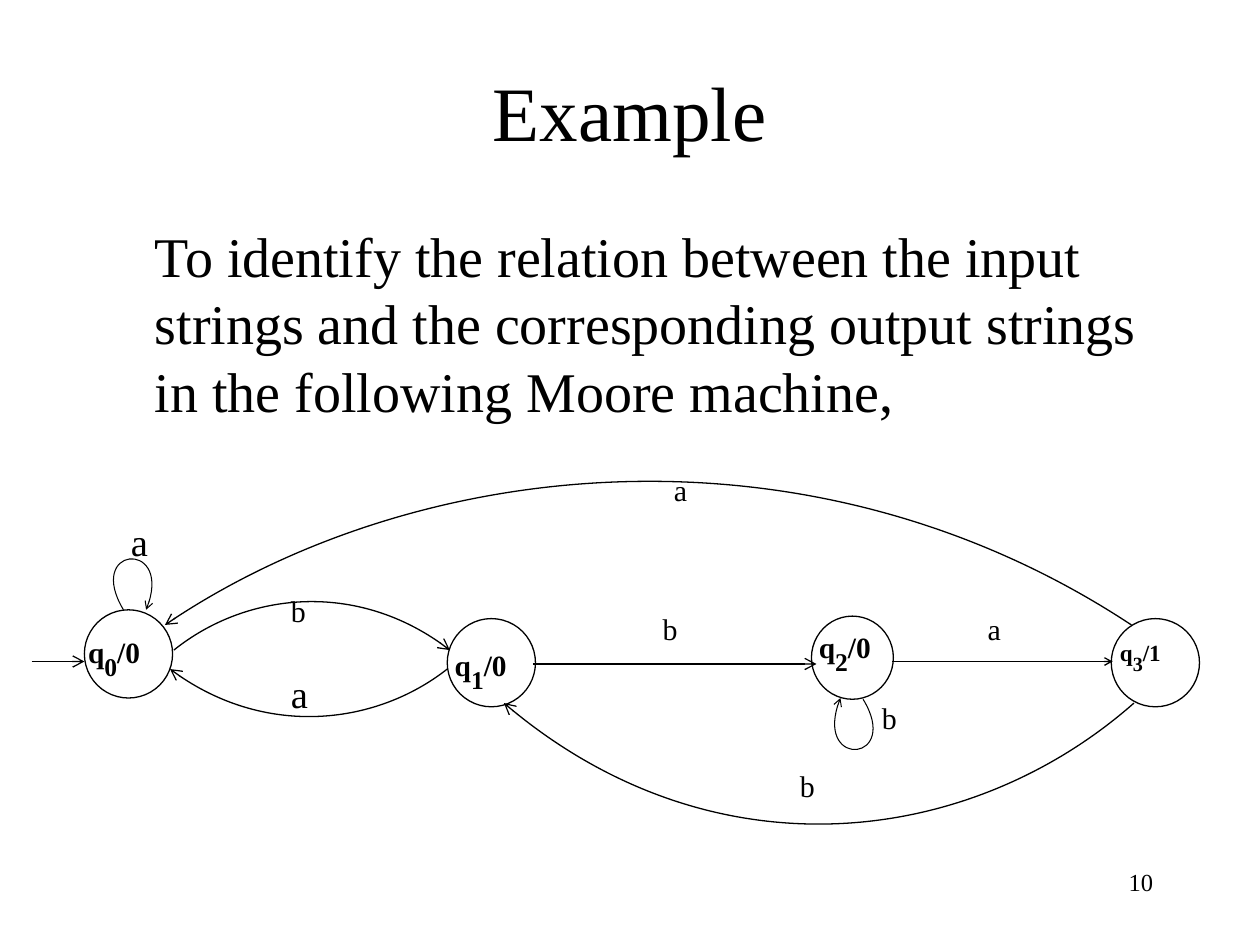
from dataclasses import dataclass

from lxml import etree
from pptx import Presentation
from pptx.dml.color import RGBColor
from pptx.enum.shapes import MSO_CONNECTOR, MSO_SHAPE
from pptx.enum.text import MSO_ANCHOR, PP_ALIGN
from pptx.oxml.ns import qn
from pptx.util import Inches, Pt

ELLIPSE = MSO_SHAPE.OVAL
STRAIGHT = MSO_CONNECTOR.STRAIGHT
LEFT, CENTER, RIGHT = PP_ALIGN.LEFT, PP_ALIGN.CENTER, PP_ALIGN.RIGHT
TOP, MIDDLE = MSO_ANCHOR.TOP, MSO_ANCHOR.MIDDLE
COLUMNS, ROWS = 100, 75


@dataclass(frozen=True)
class Theme:
    font: str = "Times New Roman"
    ink: RGBColor = RGBColor(0, 0, 0)
    paper: RGBColor = RGBColor(255, 255, 255)
    title: float = 44
    body: float = 32
    number: float = 14
    loop_label: float = 22
    edge_label: float = 17.1
    state: float = 16.8
    final_state: float = 13.2
    line: float = 0.75
    loop_line: float = 0.6
    tight: float = 0.8


class Diagram:
    def __init__(self, deck, theme):
        self.theme = theme
        self.slide = deck.slides.add_slide(deck.slide_layouts[6])
        self.shapes = self.slide.shapes
        self.column = deck.slide_width / COLUMNS
        self.row = deck.slide_height / ROWS

    def place(self, x, y):
        return round(x * self.column), round(y * self.row)

    def text(self, box, runs, size, align=LEFT, anchor=TOP, spacing=1.0, bold=False, indent=0):
        frame = self.shapes.add_textbox(*self.place(*box[:2]), *self.place(*box[2:])).text_frame
        frame.word_wrap = True
        frame.vertical_anchor = anchor
        paragraph = frame.paragraphs[0]
        paragraph.alignment = align
        paragraph.line_spacing = spacing
        if indent:
            properties = paragraph._p.get_or_add_pPr()
            properties.set("marL", str(round(indent * self.column)))
            properties.set("indent", "0")
        for words, is_subscript in runs:
            run = paragraph.add_run()
            run.text = words
            run.font.name = self.theme.font
            run.font.size = Pt(size * 1.5 if is_subscript else size)
            run.font.bold = bold
            run.font.color.rgb = self.theme.ink
            if is_subscript:
                run._r.get_or_add_rPr().set("baseline", "-30000")

    def state(self, box):
        circle = self.shapes.add_shape(ELLIPSE, *self.place(*box[:2]), *self.place(*box[2:]))
        circle.shadow.inherit = False
        circle.fill.solid()
        circle.fill.fore_color.rgb = self.theme.paper
        self.outline(circle, self.theme.line)

    def state_label(self, box, index, output, size):
        runs = [("q", False), (index, True), (f"/{output}", False)]
        self.text(box, runs, size, spacing=self.theme.tight, bold=True)

    def outline(self, shape, width):
        shape.line.color.rgb = self.theme.ink
        shape.line.width = Pt(width)

    def arrowhead(self, shape, head):
        line = shape.line._get_or_add_ln()
        etree.SubElement(line, qn("a:tailEnd"), type="arrow", w=head, len=head)

    def arrow(self, start, end, head="med"):
        connector = self.shapes.add_connector(STRAIGHT, *self.place(*start), *self.place(*end))
        self.outline(connector, self.theme.line)
        self.arrowhead(connector, head)
        etree.SubElement(connector._element.spPr, qn("a:effectLst"))

    def curve(self, start, *controls_and_end, width=None, head="med"):
        builder = self.shapes.build_freeform(*self.place(*start))
        builder.add_line_segments([self.place(*point) for point in controls_and_end], close=False)
        arc = builder.convert_to_shape()
        arc.shadow.inherit = False
        arc.fill.background()
        self.outline(arc, width or self.theme.line)
        self.arrowhead(arc, head)
        segments = list(arc._element.iter(qn("a:lnTo")))
        bezier = etree.SubElement(segments[0].getparent(), qn("a:cubicBezTo"))
        for segment in segments:
            bezier.append(segment[0])
            segment.getparent().remove(segment)


def main():
    deck = Presentation()
    deck.slide_width, deck.slide_height = Inches(10), Inches(7.5)
    theme = Theme()
    diagram = Diagram(deck, theme)

    diagram.text((7.5, 2.5, 85, 12.5), [("Example", False)], theme.title, CENTER, MIDDLE)
    task = (
        "To identify the relation between the input strings and the corresponding "
        "output strings in the following Moore machine,"
    )
    diagram.text((7.5, 17.1, 85, 45), [(task, False)], theme.body, indent=3.8)
    diagram.text((71.7, 68.3, 20.8, 5), [("10", False)], theme.number, RIGHT)

    states = [
        ((6.7, 48.4, 7, 7), (6, 49, 9.2, 5.2), "0", "0", theme.state),
        ((35.5, 49.1, 7, 7), (35.1, 50, 9.2, 5.2), "1", "0", theme.state),
        ((64.4, 48.9, 6.5, 6.6), (64, 48.6, 9.2, 5.2), "2", "0", theme.state),
        ((88.2, 49.1, 7, 7), (87.9, 49.5, 9.3, 4.1), "3", "1", theme.final_state),
    ]
    for circle, label, index, output, size in states:
        diagram.state(circle)
        diagram.state_label(label, index, output, size)

    diagram.arrow((2.5, 52.5), (6.7, 52.5))
    diagram.arrow((42.3, 52.7), (64.8, 52.7))
    diagram.arrow((70.8, 52.5), (88.3, 52.5), head="sm")

    transitions = [
        ((13.8, 51.6), (19.4, 47.1), (28.5, 46), (35.7, 51.6)),
        ((35.5, 53.1), (29.9, 57.5), (20.8, 58.6), (13.5, 53.1)),
        ((89.8, 49.6), (64.5, 32.9), (32.8, 36.2), (13.1, 49.6)),
        ((90, 55.8), (77.2, 67.1), (56.5, 69.9), (40, 55.8)),
    ]
    for points in transitions:
        diagram.curve(*points)

    loops = [
        ((9.8, 48.4), (6.8, 43.4), (13.9, 42.8), (11.6, 48.4)),
        ((68.5, 55.5), (71.5, 60.4), (64.4, 61.1), (66.7, 55.4)),
    ]
    for points in loops:
        diagram.curve(*points, width=theme.loop_line, head="sm")

    edge_labels = [
        ("b", 22.1, 47.1), ("b", 51.6, 48.5), ("a", 77.4, 48.5),
        ("a", 52.5, 37.5), ("b", 62.5, 61), ("b", 69, 55.6),
    ]
    for symbol, x, y in edge_labels:
        diagram.text((x, y, 4.1, 4), [(symbol, False)], theme.edge_label, spacing=theme.tight)
    for x, y in [(9.4, 40.6), (22.1, 52.7)]:
        diagram.text((x, y, 9.8, 6.7), [("a", False)], theme.loop_label)

    deck.save("out.pptx")


if __name__ == "__main__":
    main()
